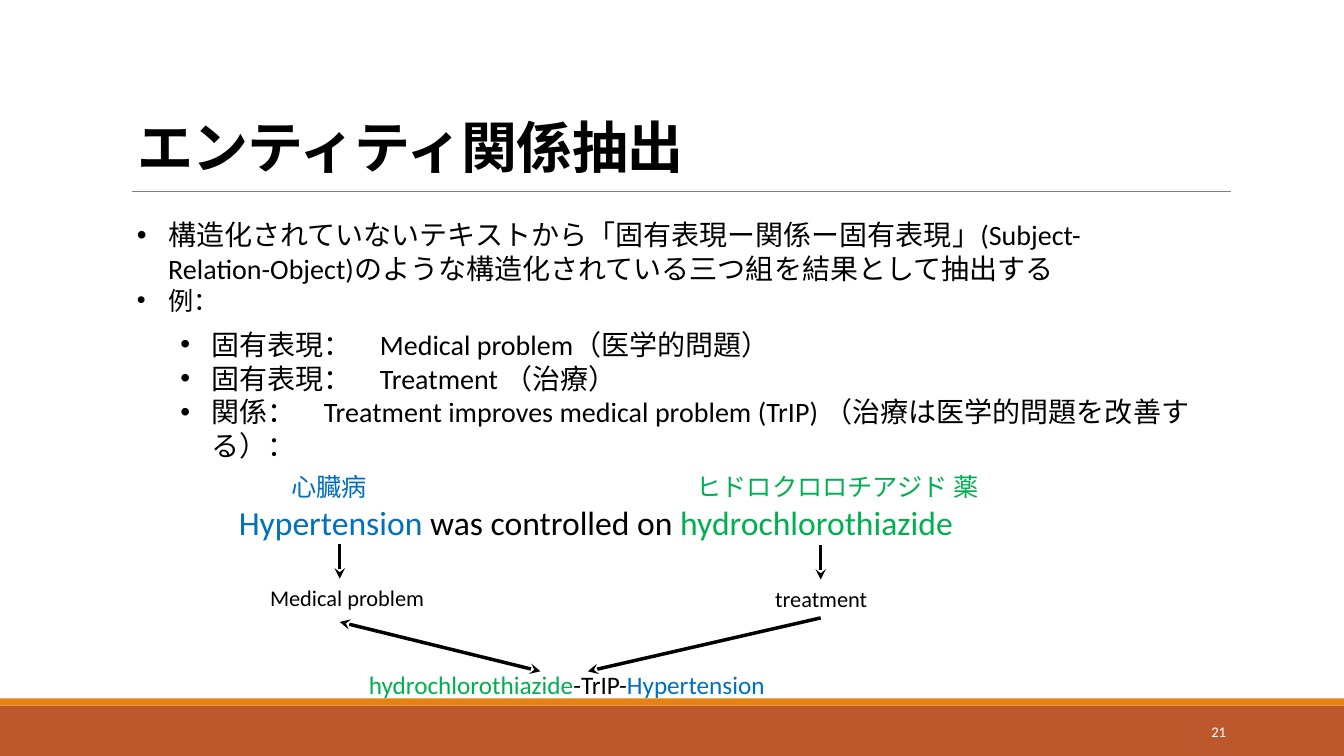
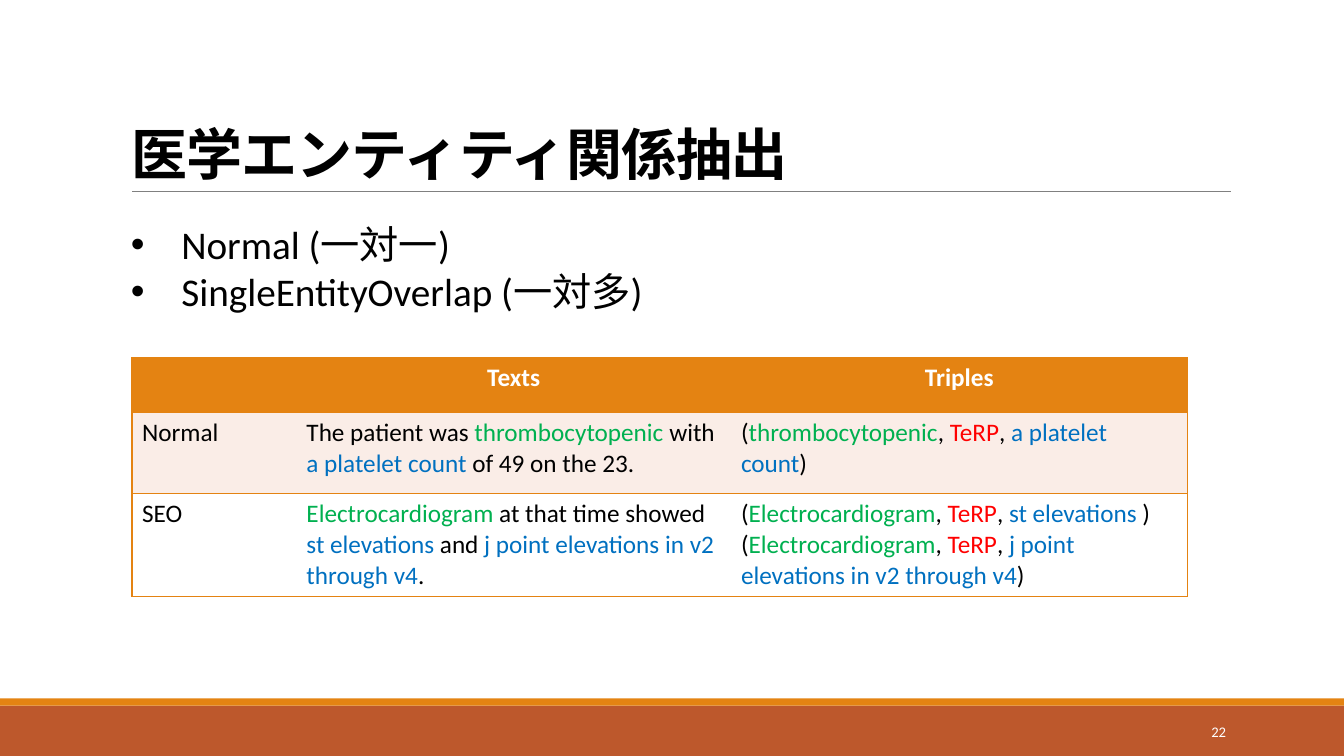
from pptx import Presentation
from pptx import util as u
from pptx.dml.color import RGBColor
from pptx.enum import shapes, text
from pptx.oxml.ns import qn
from lxml import etree

INK, WHITE = "000000", "FFFFFF"
BLUE, GREEN, RED = "0070C0", "00B050", "FF0000"
ORANGE, RUST, ROSE, GREY = "E48312", "BD582C", "FAEDE7", "808080"
LATIN, CJK = "Calibri", "Noto Sans CJK JP"
NO_TABLE_STYLE = "{2D5ABB26-0587-4C30-8999-92F81FD0307C}"
LEFT, RIGHT, CENTER = text.PP_ALIGN.LEFT, text.PP_ALIGN.RIGHT, text.PP_ALIGN.CENTER


def rgb(value):
    return RGBColor.from_string(value)


def inches(*values):
    return [u.Inches(value) for value in values]


def blue(words):
    return words, {"color": BLUE}


def green(words):
    return words, {"color": GREEN}


def red(words):
    return words, {"color": RED}


def cjk(words):
    return words, {"name": CJK}


class Deck:
    """Holds the shared style and the slide being filled."""

    def __init__(self):
        self.prs = Presentation()
        self.prs.slide_width, self.prs.slide_height = inches(13.33, 7.5)
        self.slide = None

    def new_slide(self, title, number, left, top, font):
        self.slide = self.prs.slides.add_slide(self.prs.slide_layouts[5])
        # Footer bands, title rule and slide number
        self.band(7, 0.5, RUST)
        self.band(6.93, 0.07, ORANGE)
        self.line((1.31, 1.9), (12.21, 1.9), GREY, 0.5)
        self.text((10.83, 7.06, 1.43, 0.4), [[number]], size=10.5, color=WHITE,
                  align=RIGHT, anchor=text.MSO_ANCHOR.MIDDLE)
        # Title
        heading = self.slide.shapes.title
        heading.left, heading.top, heading.width, heading.height = inches(left, top, 11, 1.59)
        self.frame(heading.text_frame, text.MSO_ANCHOR.BOTTOM)
        self.fill_text(heading.text_frame, [[title]], size=40, name=font, bold=True,
                       spacing=-50)
        heading.text_frame.paragraphs[0].line_spacing = 0.85

    def band(self, top, height, color):
        shape = self.slide.shapes.add_shape(
            shapes.MSO_SHAPE.RECTANGLE, 0, u.Inches(top), self.prs.slide_width, u.Inches(height))
        shape.shadow.inherit = False
        shape.fill.solid()
        shape.fill.fore_color.rgb = rgb(color)
        shape.line.fill.background()

    def line(self, start, end, color=INK, width=2.5, heads=()):
        connector = self.slide.shapes.add_connector(
            shapes.MSO_CONNECTOR.STRAIGHT, *inches(*start, *end))
        connector.line.color.rgb = rgb(color)
        connector.line.width = u.Pt(width)
        properties = connector.line._get_or_add_ln()
        for head in heads:
            etree.SubElement(properties, qn(f"a:{head}"), type="stealth")
        etree.SubElement(connector._element.spPr, qn("a:effectLst"))

    def frame(self, frame, anchor):
        settings = {"word_wrap": True, "auto_size": text.MSO_AUTO_SIZE.NONE,
                    "vertical_anchor": anchor}
        for key, value in settings.items():
            setattr(frame, key, value)

    def text(self, box, paragraphs, anchor=text.MSO_ANCHOR.TOP, **style):
        frame = self.slide.shapes.add_textbox(*inches(*box)).text_frame
        self.frame(frame, anchor)
        self.fill_text(frame, paragraphs, **style)

    def fill_text(self, frame, paragraphs, align=LEFT, indent=0, **style):
        """A paragraph is a list of runs: plain words or (words, style changes)."""
        for index, runs in enumerate(paragraphs):
            paragraph = frame.add_paragraph() if index else frame.paragraphs[0]
            paragraph.alignment = align
            if indent:
                self.bullet(paragraph, indent)
            for run in runs:
                words, changes = (run, {}) if isinstance(run, str) else run
                self.run(paragraph, words, {**style, **changes})

    def bullet(self, paragraph, indent):
        properties = paragraph._p.get_or_add_pPr()
        properties.set("marL", str(u.Inches(indent)))
        properties.set("indent", str(-u.Inches(indent)))
        etree.SubElement(properties, qn("a:buFont"), typeface="Arial")
        etree.SubElement(properties, qn("a:buChar"), char="•")

    def run(self, paragraph, words, style):
        run = paragraph.add_run()
        run.text = words
        values = {"name": LATIN, "bold": False, "color": INK, "spacing": 0, **style}
        run.font.color.rgb = rgb(values.pop("color"))
        spacing = values.pop("spacing")
        values["size"] = u.Pt(values["size"])
        for key, value in values.items():
            setattr(run.font, key, value)
        properties = run._r.get_or_add_rPr()
        if spacing:
            properties.set("spc", str(spacing))
        # One East Asian typeface keeps the line pitch even in mixed text
        etree.SubElement(properties, qn("a:ea"), typeface=LATIN)

    def table(self, left, top, widths, heights, rows, fills, size):
        frame = self.slide.shapes.add_table(
            len(rows), len(widths), *inches(left, top, sum(widths), sum(heights)))
        grid = frame.table
        grid._tbl.tblPr.find(qn("a:tableStyleId")).text = NO_TABLE_STYLE
        for column, width in zip(grid.columns, widths):
            column.width = u.Inches(width)
        for r, (height, cells, fill) in enumerate(zip(heights, rows, fills)):
            grid.rows[r].height = u.Inches(height)
            header = {"bold": True, "color": WHITE, "align": CENTER} if r == 0 else {}
            for c, paragraphs in enumerate(cells):
                cell = grid.cell(r, c)
                sides = ["lnL"] * (c == 0) + ["lnR"] * (c == len(widths) - 1) + ["lnT", "lnB"]
                self.borders(cell, sides)
                cell.fill.solid()
                cell.fill.fore_color.rgb = rgb(fill)
                self.fill_text(cell.text_frame, paragraphs, size=size, **header)

    def borders(self, cell, sides):
        properties = cell._tc.get_or_add_tcPr()
        for side in sides:
            edge = etree.SubElement(properties, qn(f"a:{side}"), w=str(u.Pt(1)))
            paint = etree.SubElement(edge, qn("a:solidFill"))
            etree.SubElement(paint, qn("a:srgbClr"), val=ORANGE)


def relation_extraction(deck):
    deck.new_slide("エンティティ関係抽出", "21", 1.26, 0.25, "Arial")

    # Definition and entity types
    deck.text((1.26, 2.11, 10.49, 1.08), [
        [cjk("構造化されていないテキストから「固有表現ー関係ー固有表現」"),
         "(Subject-Relation-Object)",
         cjk("のような構造化されている三つ組を結果として抽出する")],
        [("例：", {"size": 18})],
    ], size=20, indent=0.31)
    deck.text((1.69, 3.2, 10.67, 1.85), [
        ["固有表現：　Medical problem", cjk("（医学的問題）")],
        ["固有表現：　Treatment ", cjk("（治療）")],
        ["関係：　Treatment improves medical problem (TrIP) ",
         cjk("（治療は医学的問題を改善する）：")],
    ], size=20, indent=0.31)

    # Example sentence with glosses, entity labels and resulting triple
    for box, size, runs in [
        ((2.79, 4.63, 1.67, 0.4), 18, [blue("心臓病")]),
        ((6.81, 4.63, 3.24, 0.4), 18, [green("ヒドロクロロチアジド 薬")]),
        ((2.27, 4.93, 9, 0.5), 24,
         [blue("Hypertension "), "was controlled on ", green("hydrochlorothiazide")]),
        ((2.58, 5.75, 1.95, 0.37), 16, ["Medical problem"]),
        ((7.59, 5.76, 2.29, 0.37), 16, ["treatment"]),
        ((3.56, 6.59, 4.37, 0.4), 18,
         [green("hydrochlorothiazide"), "-TrIP-", blue("Hypertension")]),
    ]:
        deck.text(box, [runs], size=size)

    # Arrows from words to labels, and from labels to the triple
    problem_x, treatment_x = 3.37, 8.14
    for start, end, heads in [
        ((problem_x, 5.4), (problem_x, 5.74), ["tailEnd"]),
        ((treatment_x, 5.41), (treatment_x, 5.75), ["tailEnd"]),
        ((problem_x, 6.17), (5.36, 6.66), ["headEnd", "tailEnd"]),
        ((treatment_x, 6.13), (5.83, 6.66), ["tailEnd"]),
    ]:
        deck.line(start, end, heads=heads)


def triple(subject, target):
    return ["(", green(subject), ", ", red("TeRP"), ", ", blue(target), ")"]


def medical_relations(deck):
    deck.new_slide("医学エンティティ関係抽出", "22", 1.2, 0.31, CJK)

    # Overlap kinds
    deck.text((1.2, 2.14, 9.41, 1.45), [
        ["Normal (", cjk("一対一"), ")"],
        ["SingleEntityOverlap (", cjk("一対多"), ")"],
    ], size=28, indent=0.5)

    # Example texts and their triples
    rows = [
        [[], [["Texts"]], [["Triples"]]],
        [[["Normal"]],
         [["The patient was ", green("thrombocytopenic "), "with ",
           blue("a platelet count "), "of 49 on the 23."]],
         [triple("thrombocytopenic", "a platelet count")]],
        [[["SEO"]],
         [[green("Electrocardiogram "), "at that time showed ", blue("st elevations "),
           "and ", blue("j point elevations in v2 through v4"), "."]],
         [triple("Electrocardiogram", "st elevations "),
          triple("Electrocardiogram", "j point elevations in v2 through v4")]],
    ]
    deck.table(1.31, 3.55, [1.63, 4.31, 4.53], [0.54, 0.81, 1], rows,
               [ORANGE, ROSE, WHITE], size=18)


def main():
    deck = Deck()
    relation_extraction(deck)
    medical_relations(deck)
    deck.prs.save("out.pptx")


if __name__ == "__main__":
    main()
